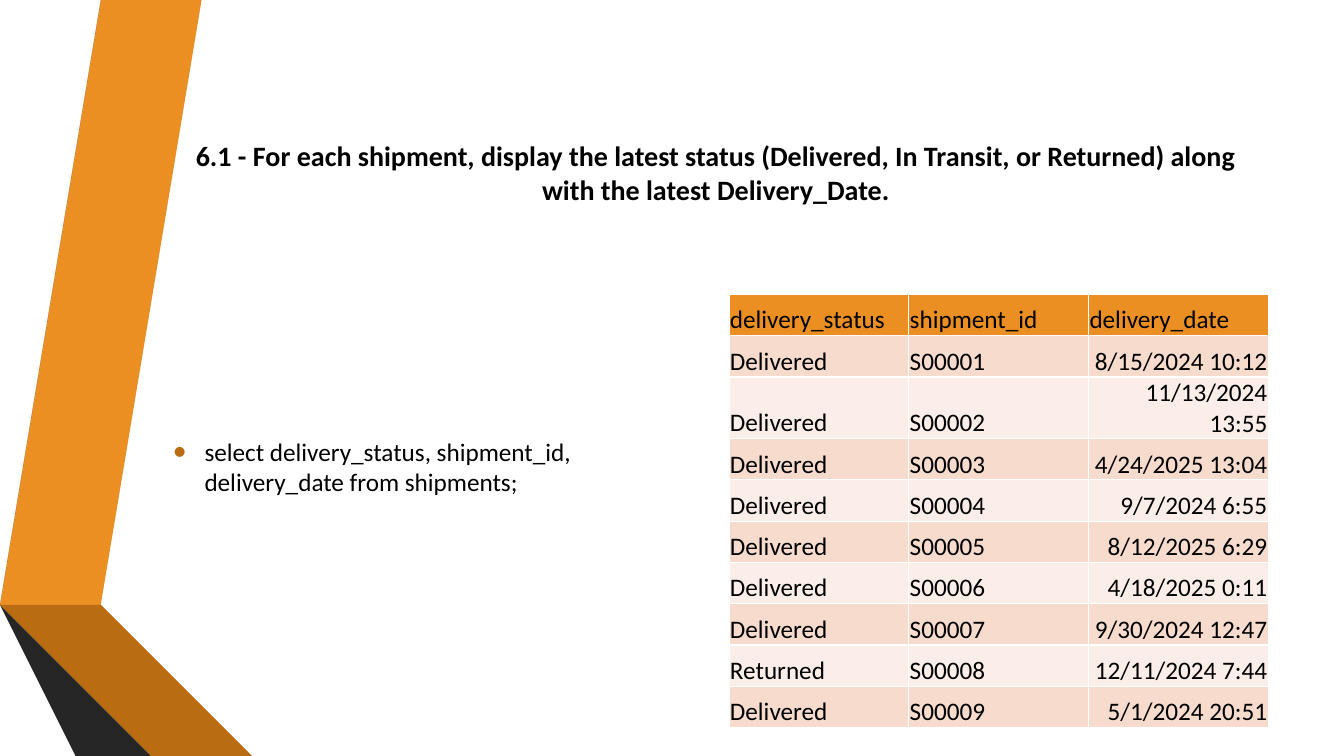
from lxml import etree
from pptx import Presentation
from pptx.dml.color import RGBColor
from pptx.enum.text import MSO_ANCHOR, PP_ALIGN
from pptx.oxml.ns import qn
from pptx.util import Inches, Pt

MIDDLE, BOTTOM = MSO_ANCHOR.MIDDLE, MSO_ANCHOR.BOTTOM
LEFT, CENTER, RIGHT = PP_ALIGN.LEFT, PP_ALIGN.CENTER, PP_ALIGN.RIGHT

WIDTH, HEIGHT = 13.33, 7.5
MARGIN, COLUMN = 1.62, 5.35
CONTENT_TOP = 2.92
TITLE_BOX = (MARGIN, 0.75, 10.96, 1.92)
QUERY_BOX = (MARGIN, CONTENT_TOP, COLUMN, 3.42)
TABLE_BOX = (7.23, CONTENT_TOP, COLUMN, 4.1)
RIBBON_BOX = (0.16, 0, 2.67, HEIGHT)

ORANGE, BLACK = "EB8F22", "000000"
BANDS = ("F7DBCD", "FBEEE8")

RIBBONS = [
    (ORANGE, [(0.34, 5.78), (0.61, 5.83), (1.57, 0), (1.29, 0)]),
    ("595959", [(1.23, 0), (0.95, 0), (0, 5.73), (0.28, 5.77)]),
    ("262626", [(0, 5.73), (1.29, 7.5), (1.35, 7.5)]),
    ("7B480B", [(0.34, 5.79), (1.92, 7.5), (1.98, 7.5)]),
    ("B96C11", [(0.34, 5.79), (1.98, 7.5), (2.67, 7.5), (0.61, 5.83), (0.34, 5.78)]),
    ("404040", [(1.86, 7.5), (0.32, 5.83), (0.27, 5.78), (0.28, 5.77), (0, 5.73), (1.35, 7.5)]),
]

TITLE = [
    "6.1 - For each shipment, display the latest status (Delivered, In Transit, or Returned) along",
    "with the latest Delivery_Date.",
]
QUERY = "select delivery_status, shipment_id, delivery_date from shipments;"
HEADER = ("delivery_status", "shipment_id", "delivery_date")
SHIPMENTS = [
    ("Delivered", "S00001", "8/15/2024 10:12"),
    ("Delivered", "S00002", "11/13/2024 13:55"),
    ("Delivered", "S00003", "4/24/2025 13:04"),
    ("Delivered", "S00004", "9/7/2024 6:55"),
    ("Delivered", "S00005", "8/12/2025 6:29"),
    ("Delivered", "S00006", "4/18/2025 0:11"),
    ("Delivered", "S00007", "9/30/2024 12:47"),
    ("Returned", "S00008", "12/11/2024 7:44"),
    ("Delivered", "S00009", "5/1/2024 20:51"),
]


def color(value):
    """Turn a hex string into a colour."""
    return RGBColor.from_string(value)


def set_attributes(target, values):
    """Set each named attribute on the target."""
    for name, value in values.items():
        setattr(target, name, value)


def style_font(font, size, bold=False):
    """Give a font the slide's typeface and colour."""
    set_attributes(font, {"name": "Calibri", "size": Pt(size), "bold": bold})
    font.color.rgb = color(BLACK)


def add_text_box(slide, box):
    """Add a wrapping, vertically centred text box and return its paragraph."""
    frame = slide.shapes.add_textbox(*map(Inches, box)).text_frame
    set_attributes(frame, {"word_wrap": True, "vertical_anchor": MIDDLE})
    return frame.paragraphs[0]


def add_bullet(paragraph):
    """Give a paragraph a round bullet with a hanging indent."""
    properties = paragraph._p.get_or_add_pPr()
    indent = Inches(0.31)
    properties.set("marL", str(indent))
    properties.set("indent", str(-indent))
    bullet_color = etree.SubElement(properties, qn("a:buClr"))
    etree.SubElement(bullet_color, qn("a:srgbClr"), val="B96C11")
    etree.SubElement(properties, qn("a:buSzPct"), val="145000")
    etree.SubElement(properties, qn("a:buFont"), typeface="Arial")
    etree.SubElement(properties, qn("a:buChar"), char="•")


def draw_ribbons(slide, box):
    """Draw the folded ribbons along the left edge."""
    left, top, _, _ = box
    for fill, outline in RIBBONS:
        points = [(left + x, top + y) for x, y in outline]
        builder = slide.shapes.build_freeform(*points[0], scale=Inches(1))
        builder.add_line_segments(points[1:], close=True)
        ribbon = builder.convert_to_shape()
        ribbon.shadow.inherit = False
        ribbon.fill.solid()
        ribbon.fill.fore_color.rgb = color(fill)
        ribbon.line.fill.background()


def draw_title(slide, box):
    """Write the centred question."""
    paragraph = add_text_box(slide, box)
    paragraph.alignment = CENTER
    paragraph.text = "\v".join(TITLE)
    for run in paragraph.runs:
        style_font(run.font, 20, True)


def draw_query(slide, box):
    """Write the bulleted query."""
    paragraph = add_text_box(slide, box)
    add_bullet(paragraph)
    paragraph.space_after = Pt(6)
    run = paragraph.add_run()
    run.text = QUERY
    style_font(run.font, 18)


def fill_cell(cell, text, fill, alignment):
    """Write one table cell."""
    edge = Inches(0.01)
    set_attributes(cell, {
        "text": text, "vertical_anchor": BOTTOM, "margin_left": edge,
        "margin_top": edge, "margin_right": edge, "margin_bottom": 0,
    })
    cell.fill.solid()
    cell.fill.fore_color.rgb = color(fill)
    paragraph = cell.text_frame.paragraphs[0]
    paragraph.alignment = alignment
    style_font(paragraph.runs[0].font, 18)


def draw_shipments(slide, box):
    """Build the table of shipment results."""
    rows = [HEADER, *SHIPMENTS]
    table = slide.shapes.add_table(len(rows), len(HEADER), *map(Inches, box)).table
    for row, values in enumerate(rows):
        fill = BANDS[(row - 1) % 2] if row else ORANGE
        for column, text in enumerate(values):
            alignment = RIGHT if row and column == 2 else LEFT
            fill_cell(table.cell(row, column), text, fill, alignment)


def main():
    """Build and save the slide."""
    presentation = Presentation()
    set_attributes(presentation, {"slide_width": Inches(WIDTH), "slide_height": Inches(HEIGHT)})
    slide = presentation.slides.add_slide(presentation.slide_layouts[6])
    draw_ribbons(slide, RIBBON_BOX)
    draw_title(slide, TITLE_BOX)
    draw_query(slide, QUERY_BOX)
    draw_shipments(slide, TABLE_BOX)
    presentation.save("out.pptx")


if __name__ == "__main__":
    main()
